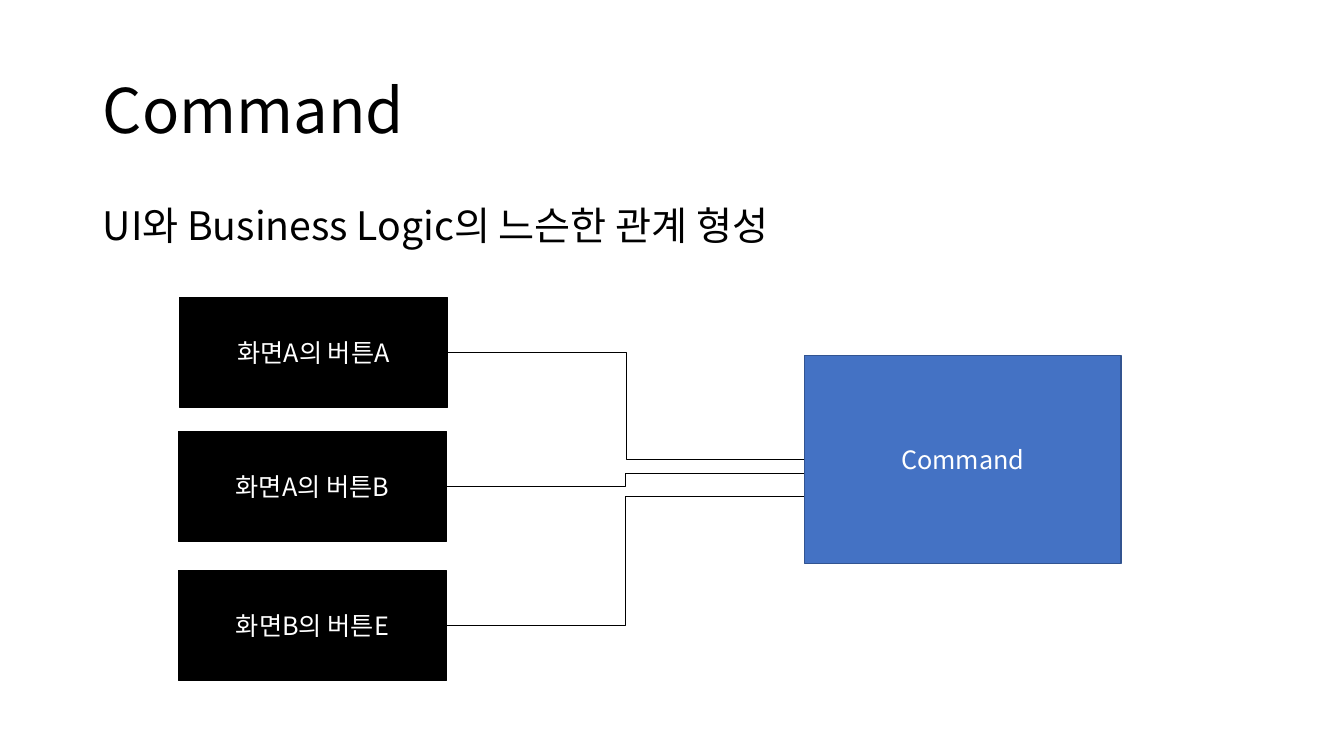
"""Build a slide on how a command loosely couples screen buttons to business logic."""
from dataclasses import dataclass

from lxml import etree
from pptx import Presentation
from pptx import util as u
from pptx.dml.color import RGBColor
from pptx.enum import shapes, text
from pptx.oxml.ns import qn

COLORS = {"ink": "000000", "paper": "FFFFFF", "command": "4472C4", "edge": "325491"}
FONT = "Noto Sans CJK KR"
CELL = u.Inches(0.1)
COLUMNS, ROWS = 133.33, 75

HEADING = {"alignment": text.PP_ALIGN.LEFT, "line_spacing": 0.9, "space_before": u.Pt(0)}
STATEMENT = {**HEADING, "space_before": u.Pt(10)}
LABEL = {"alignment": text.PP_ALIGN.CENTER}


@dataclass(frozen=True)
class Area:
    column: float
    row: float
    columns: float
    rows: float

    @property
    def right(self) -> float:
        return self.column + self.columns

    @property
    def middle(self) -> float:
        return self.row + self.rows / 2


@dataclass(frozen=True)
class Button:
    label: str
    column: float
    row: float
    entry_row: float

    @property
    def area(self) -> Area:
        return Area(self.column, self.row, 26.6, 10.9)


TITLE = Area(9.2, 4, 115, 14.5)
BODY = Area(9.2, 20, 115, 47.6)
COMMAND = Area(79.8, 35.3, 31.4, 20.6)
BUTTONS = [
    Button("화면A의 버튼A", 17.8, 29.5, COMMAND.middle),
    Button("화면A의 버튼B", 17.7, 42.8, 47),
    Button("화면B의 버튼E", 17.7, 56.6, 49.2),
]


def grid(count: float) -> u.Emu:
    return u.Emu(round(count * CELL))


def color(name: str) -> RGBColor:
    return RGBColor.from_string(COLORS[name])


def apply(target, values: dict) -> None:
    for attribute, value in values.items():
        setattr(target, attribute, value)


def place(shape, area: Area) -> None:
    apply(shape, {"left": grid(area.column), "top": grid(area.row),
                  "width": grid(area.columns), "height": grid(area.rows)})


def write(shape, words: str, size: float, ink: str, layout: dict,
          anchor=text.MSO_ANCHOR.MIDDLE) -> None:
    apply(shape.text_frame, {"word_wrap": True, "vertical_anchor": anchor})
    paragraph = shape.text_frame.paragraphs[0]
    apply(paragraph, layout)
    run = paragraph.add_run()
    run.text = words
    apply(run.font, {"size": u.Pt(size), "name": FONT})
    run.font.color.rgb = color(ink)
    etree.SubElement(run.font._element, qn("a:ea"), typeface=FONT)


def remove_bullet(shape) -> None:
    properties = shape.text_frame.paragraphs[0]._p.get_or_add_pPr()
    for name in ("marL", "indent"):
        properties.set(name, "0")
    etree.SubElement(properties, qn("a:buNone"))


def draw_box(slide, area: Area, label: str, fill: str, edge: str) -> None:
    box = slide.shapes.add_shape(shapes.MSO_SHAPE.RECTANGLE, 0, 0, 0, 0)
    place(box, area)
    box.shadow.inherit = False
    box.fill.solid()
    box.fill.fore_color.rgb = color(fill)
    box.line.color.rgb = color(edge)
    box.line.width = u.Pt(1)
    write(box, label, 18, "paper", LABEL)


def draw_link(slide, button: Button) -> None:
    link = slide.shapes.add_connector(
        shapes.MSO_CONNECTOR.ELBOW, grid(button.area.right), grid(button.area.middle),
        grid(COMMAND.column), grid(button.entry_row))
    link.line.color.rgb = color("ink")
    link.line.width = u.Pt(0.5)
    etree.SubElement(link._element.spPr, qn("a:effectLst"))


def main() -> None:
    deck = Presentation()
    apply(deck, {"slide_width": grid(COLUMNS), "slide_height": grid(ROWS)})
    slide = deck.slides.add_slide(deck.slide_layouts[1])
    heading, statement = slide.shapes.title, slide.placeholders[1]
    place(heading, TITLE)
    write(heading, "Command", 44, "ink", HEADING)
    place(statement, BODY)
    write(statement, "UI와 Business Logic의 느슨한 관계 형성", 28, "ink", STATEMENT,
          text.MSO_ANCHOR.TOP)
    remove_bullet(statement)
    draw_box(slide, COMMAND, "Command", "command", "edge")
    for button in BUTTONS:
        draw_box(slide, button.area, button.label, "ink", "ink")
    for button in BUTTONS:
        draw_link(slide, button)
    deck.save("out.pptx")


if __name__ == "__main__":
    main()
